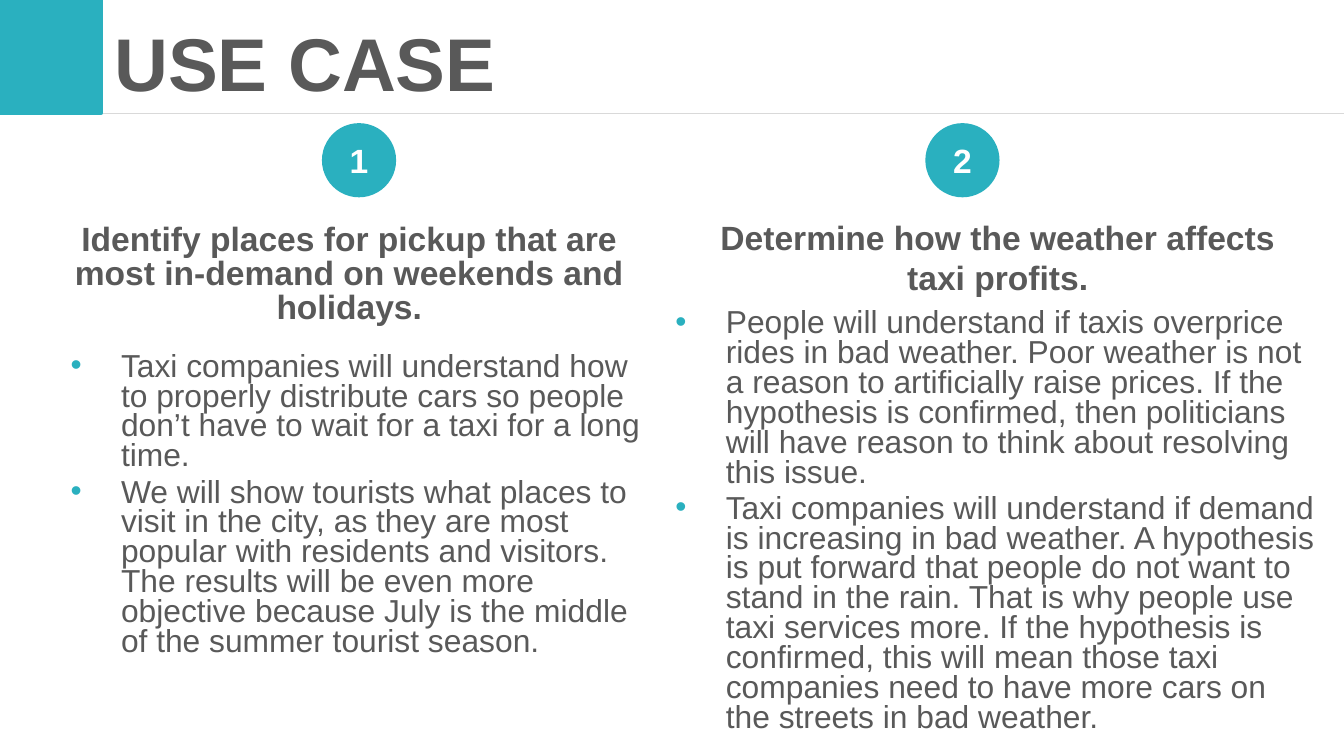
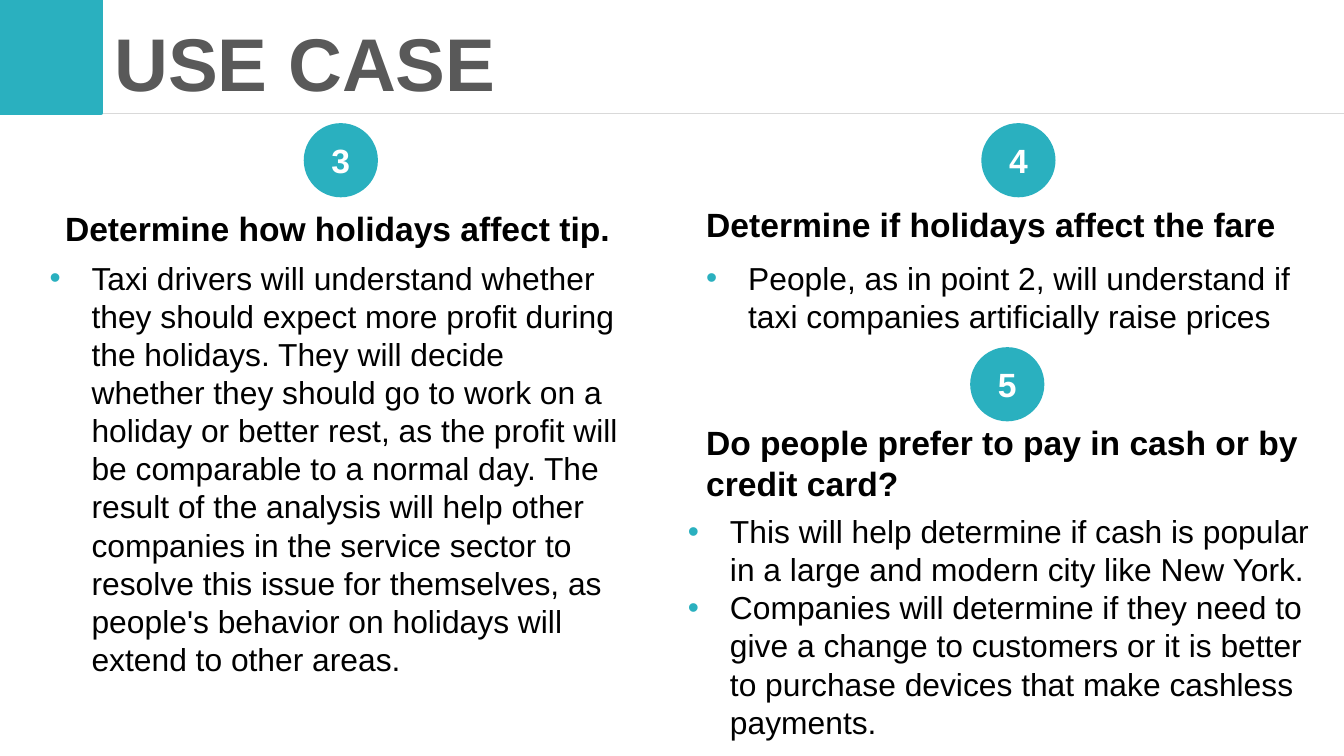
from itertools import cycle

from lxml.etree import SubElement
from pptx import Presentation
from pptx.dml.color import RGBColor
from pptx.enum.shapes import MSO_CONNECTOR as Connector, MSO_SHAPE as Shape
from pptx.enum.text import MSO_ANCHOR as Anchor, MSO_AUTO_SIZE as AutoSize, PP_ALIGN as Align
from pptx.oxml.ns import qn
from pptx.util import Pt

PX = 9525
WIDTH, HEIGHT = 960, 540
BAND_HEIGHT, BAND_SQUARE = 81, 72
TITLE_BOX = (72, 0, 334, 88)
CIRCLE = 53
FONT = "Arial"
COLORS = {"teal": "2AB0BF", "gray": "595959", "rule": "D9D9D9", "white": "FFFFFF", "black": "000000"}

STYLES = {
    "title": dict(size=40, color="gray", bold=True),
    "number": dict(size=18, color="white", bold=True, align=Align.CENTER),
    "gray heading": dict(size=18, color="gray", bold=True, align=Align.CENTER, before=3.6),
    "gray bullets": dict(size=17, color="gray", before=3.4, indent=36),
    "black heading": dict(size=18, color="black", bold=True),
    "black bullets": dict(size=17, color="black", indent=30),
}

SLIDES = [
    {
        "title": "USE CASE",
        "circles": [("1", 230, 88), ("2", 661, 88)],
        "blocks": [
            ("gray heading", (19, 156, 461, 90), (18,), [
                "Identify places for pickup that are most in-demand on weekends and holidays.",
            ]),
            ("gray bullets", (41, 248, 432, 295), (16,), [
                "Taxi companies will understand how to properly distribute cars so people don’t have "
                "to wait for a taxi for a long time.",
                "We will show tourists what places to visit in the city, as they are most popular with "
                "residents and visitors. The results will be even more objective because July is the "
                "middle of the summer tourist season.",
            ]),
            ("gray heading", (482, 156, 468, 90), (17, 18), [
                "Determine how the weather affects ",
                "taxi profits. ",
            ]),
            ("gray bullets", (473, 217, 477, 325), (16,), [
                "People will understand if taxis overprice rides in bad weather. Poor weather is not a "
                "reason to artificially raise prices. If the hypothesis is confirmed, then politicians "
                "will have reason to think about resolving this issue.",
                "Taxi companies will understand if demand is increasing in bad weather. A hypothesis is "
                "put forward that people do not want to stand in the rain. That is why people use taxi "
                "services more. If the hypothesis is confirmed, this will mean those taxi companies need "
                "to have more cars on the streets in bad weather.",
            ]),
        ],
    },
    {
        "title": "USE CASE",
        "circles": [("3", 217, 88), ("4", 701, 88), ("5", 693, 248)],
        "blocks": [
            ("black heading", (37, 144, 413, 38), (None,), ["Determine how holidays affect tip."]),
            ("black bullets", (26, 180, 427, 312), (None,), [
                "Taxi drivers will understand whether they should expect more profit during the holidays. "
                "They will decide whether they should go to work on a holiday or better rest, as the "
                "profit will be comparable to a normal day. The result of the analysis will help other "
                "companies in the service sector to resolve this issue for themselves, as people's "
                "behavior on holidays will extend to other areas.",
            ]),
            ("black heading", (495, 141, 465, 38), (None,), ["Determine if holidays affect the fare"]),
            ("black bullets", (495, 180, 450, 64), (None,), [
                "People, as in point 2, will understand if taxi companies artificially raise prices",
            ]),
            ("black heading", (495, 297, 450, 68), (None,), [
                "Do people prefer to pay in cash or by credit card?",
            ]),
            ("black bullets", (482, 361, 480, 175), (None,), [
                "This will help determine if cash is popular in a large and modern city like New York.",
                "Companies will determine if they need to give a change to customers or it is better to "
                "purchase devices that make cashless payments.",
            ]),
        ],
    },
]


def px(*lengths):
    return [length * PX for length in lengths]


def rgb(name):
    return RGBColor.from_string(COLORS[name])


def add_bullet(paragraph, indent):
    properties = paragraph._p.get_or_add_pPr()
    properties.set("marL", str(indent * PX))
    properties.set("indent", str(-indent * PX))
    color = SubElement(properties, qn("a:buClr"))
    SubElement(color, qn("a:srgbClr"), val=COLORS["teal"])
    SubElement(properties, qn("a:buFont"), typeface=FONT)
    SubElement(properties, qn("a:buChar"), char="•")


def write(frame, lines, size, color, bold=False, align=Align.LEFT, before=0, indent=0, leadings=(None,)):
    frame.word_wrap = True
    frame.auto_size = AutoSize.NONE
    frame.text = "\n".join(lines)
    for paragraph, leading in zip(frame.paragraphs, cycle(leadings)):
        paragraph.alignment = align
        paragraph.space_before = Pt(before)
        if leading:
            paragraph.line_spacing = Pt(leading)
        if indent:
            add_bullet(paragraph, indent)
        font = paragraph.font
        font.name, font.size, font.bold = FONT, Pt(size), bold
        font.color.rgb = rgb(color)


def add_filled(slide, preset, *box):
    shape = slide.shapes.add_shape(preset, *px(*box))
    shape.shadow.inherit = False
    shape.fill.solid()
    shape.fill.fore_color.rgb = rgb("teal")
    shape.line.fill.background()
    return shape


def add_header(slide, text):
    title = slide.shapes.title
    title.left, title.top, title.width, title.height = px(*TITLE_BOX)
    title.text_frame.vertical_anchor = Anchor.MIDDLE
    write(title.text_frame, [text], **STYLES["title"])

    rule = slide.shapes.add_connector(Connector.STRAIGHT, *px(0, BAND_HEIGHT, WIDTH, BAND_HEIGHT))
    rule.line.color.rgb = rgb("rule")
    rule.line.width = Pt(0.75)
    SubElement(rule._element.spPr, qn("a:effectLst"))

    square = add_filled(slide, Shape.RECTANGLE, 0, 0, BAND_SQUARE, BAND_HEIGHT)
    square.line.color.rgb = rgb("teal")
    square.line.width = Pt(2)


def add_circle(slide, number, left, top):
    frame = add_filled(slide, Shape.OVAL, left, top, CIRCLE, CIRCLE).text_frame
    frame.vertical_anchor = Anchor.MIDDLE
    write(frame, [number], **STYLES["number"])


def main():
    """Build the use case slides."""
    presentation = Presentation()
    presentation.slide_width, presentation.slide_height = px(WIDTH, HEIGHT)
    for content in SLIDES:
        slide = presentation.slides.add_slide(presentation.slide_layouts.get_by_name("Title Only"))
        add_header(slide, content["title"])
        for circle in content["circles"]:
            add_circle(slide, *circle)
        for style, box, leadings, lines in content["blocks"]:
            frame = slide.shapes.add_textbox(*px(*box)).text_frame
            write(frame, lines, leadings=leadings, **STYLES[style])
    presentation.save("out.pptx")


if __name__ == "__main__":
    main()
